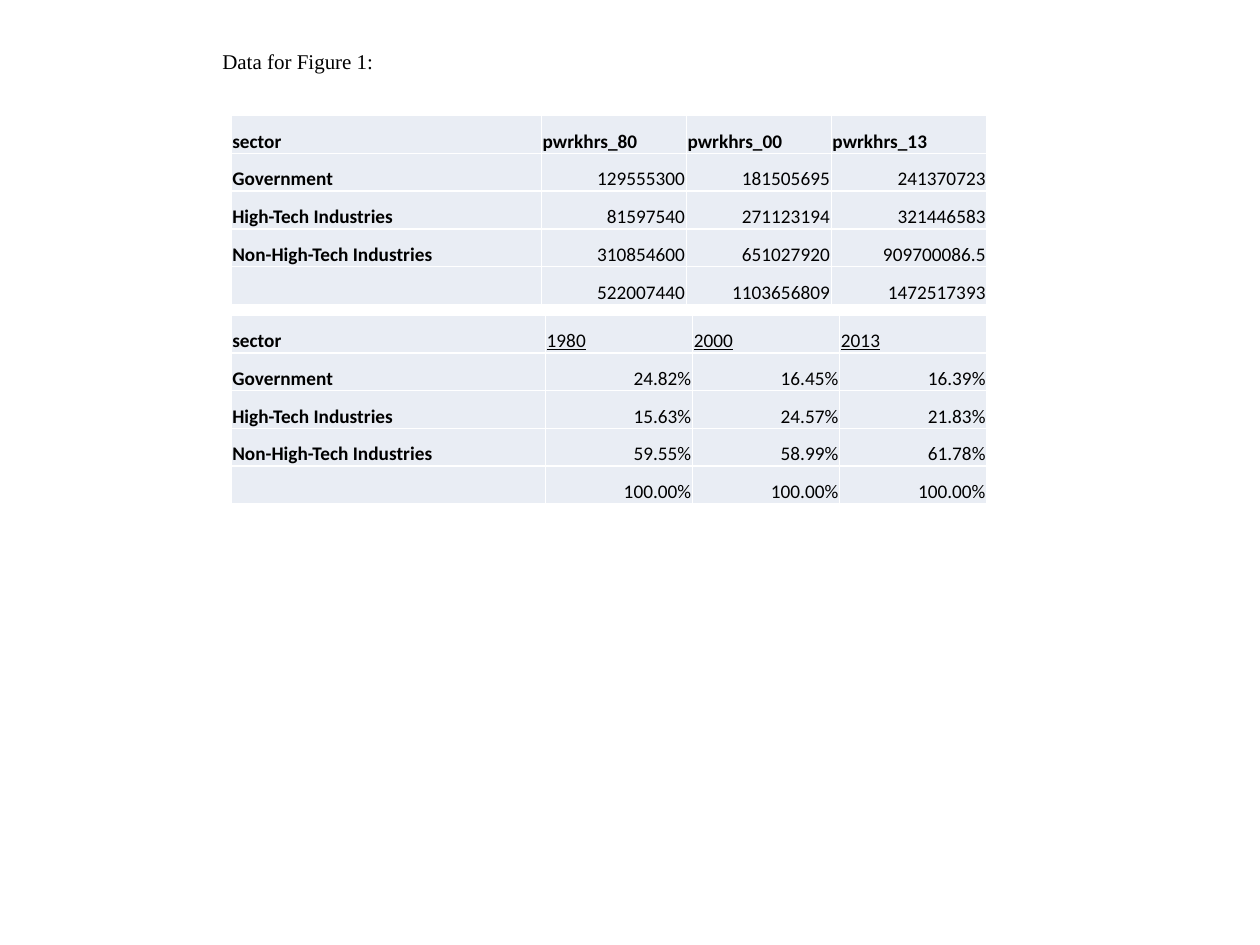
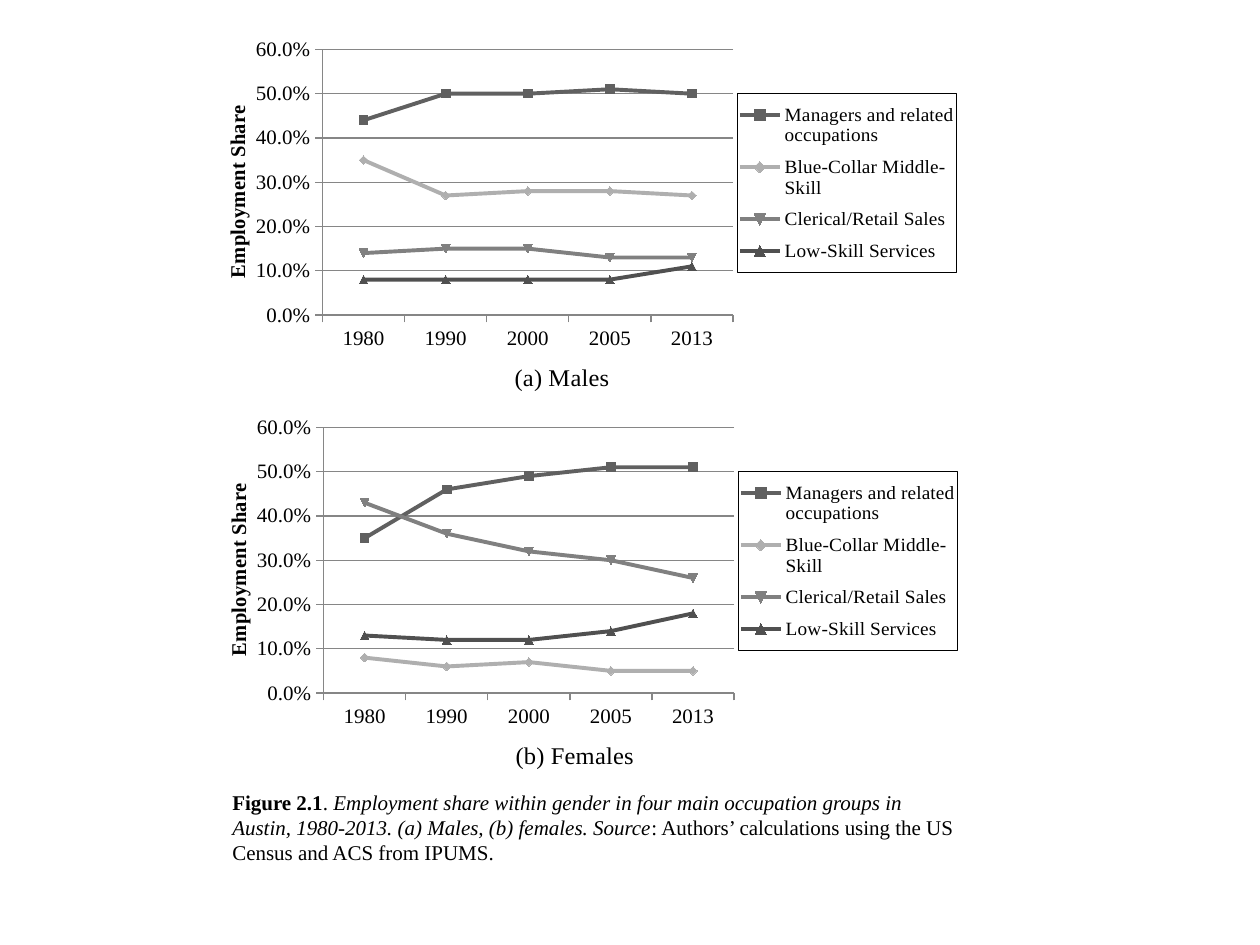
import pptx
import pptx.chart.data
import pptx.dml.color
import pptx.enum.chart
import pptx.enum.text
import pptx.oxml
import pptx.oxml.ns
import pptx.util
from dataclasses import dataclass

Pt = pptx.util.Pt
qn = pptx.oxml.ns.qn
ALIGN = pptx.enum.text.PP_ALIGN


@dataclass(frozen=True)
class Theme:
    serif: str = "Times New Roman"
    sans: str = "Calibri"
    ink: str = "000000"
    cell: str = "E9EDF4"
    border: str = "FFFFFF"
    axis: str = "868686"
    series: tuple = ("606060", "AFAFAF", "808080", "505050")
    body: int = 12
    small: int = 11
    title: int = 14


THEME = Theme()
SECTORS = ["Government", "High-Tech Industries", "Non-High-Tech Industries", ""]
HOURS = [
    ["129555300", "181505695", "241370723"],
    ["81597540", "271123194", "321446583"],
    ["310854600", "651027920", "909700086.5"],
    ["522007440", "1103656809", "1472517393"],
]
SHARES = [
    ["24.82%", "16.45%", "16.39%"],
    ["15.63%", "24.57%", "21.83%"],
    ["59.55%", "58.99%", "61.78%"],
    ["100.00%", "100.00%", "100.00%"],
]
YEARS = ["1980", "1990", "2000", "2005", "2013"]
OCCUPATIONS = ["Managers and related occupations", "Blue-Collar Middle-Skill",
               "Clerical/Retail Sales", "Low-Skill Services"]
MALES = [
    [0.44, 0.5, 0.5, 0.51, 0.5],
    [0.35, 0.27, 0.28, 0.28, 0.27],
    [0.14, 0.15, 0.15, 0.13, 0.13],
    [0.08, 0.08, 0.08, 0.08, 0.11],
]
FEMALES = [
    [0.35, 0.46, 0.49, 0.51, 0.51],
    [0.08, 0.06, 0.07, 0.05, 0.05],
    [0.43, 0.36, 0.32, 0.3, 0.26],
    [0.13, 0.12, 0.12, 0.14, 0.18],
]


def rgb(color):
    return pptx.dml.color.RGBColor.from_string(color)


def style_font(font, size, name=THEME.serif, bold=False, italic=False, underline=False):
    font.name, font.size = name, Pt(size)
    font.bold, font.italic, font.underline = bold, italic, underline
    font.color.rgb = rgb(THEME.ink)


def add_run(p, text, size=THEME.body, align=None, **fmt):
    r = p.add_run()
    r.text = text
    style_font(r.font, size, **fmt)
    if align is not None:
        p.alignment = align


def style_line(line, color, width):
    line.color.rgb = rgb(color)
    line.width = Pt(width)


def add_text_box(slide, box, runs):
    sp = slide.shapes.add_textbox(*map(Pt, box))
    tf = sp.text_frame
    tf.word_wrap = True
    tf.auto_size = pptx.enum.text.MSO_AUTO_SIZE.SHAPE_TO_FIT_TEXT
    for text, fmt in runs:
        add_run(tf.paragraphs[0], text, **fmt)


def style_cell(cell):
    cell.margin_left = cell.margin_right = cell.margin_top = Pt(0.72)
    cell.margin_bottom = 0
    cell.vertical_anchor = pptx.enum.text.MSO_ANCHOR.BOTTOM
    tc_pr = cell._tc.get_or_add_tcPr()
    for side in ("lnL", "lnR", "lnT", "lnB"):
        tc_pr.append(pptx.oxml.parse_xml(
            f'<a:{side} {pptx.oxml.ns.nsdecls("a")} w="{Pt(1)}"><a:solidFill>'
            f'<a:srgbClr val="{THEME.border}"/></a:solidFill></a:{side}>'))
    cell.fill.solid()
    cell.fill.fore_color.rgb = rgb(THEME.cell)


def fill_cell(cell, text, **fmt):
    style_cell(cell)
    p = cell.text_frame.paragraphs[0]
    if text:
        add_run(p, text, THEME.small, name=THEME.sans, **fmt)
    else:
        p._p.append(pptx.oxml.parse_xml(
            f'<a:endParaRPr {pptx.oxml.ns.nsdecls("a")} sz="{THEME.small * 100}"/>'))


def add_sector_table(slide, box, widths, heads, values, head_format):
    rows = [["sector", *heads]] + [[s, *v] for s, v in zip(SECTORS, values)]
    table = slide.shapes.add_table(len(rows), len(widths), *map(Pt, box)).table
    table.first_row = table.horz_banding = False
    for col, width in zip(table.columns, widths):
        col.width = Pt(width)
    for i, row in enumerate(rows):
        table.rows[i].height = Pt(box[3] / len(rows))
        for j, text in enumerate(row):
            if j == 0:
                fmt = {"bold": True}
            elif i == 0:
                fmt = head_format
            else:
                fmt = {"align": ALIGN.RIGHT}
            fill_cell(table.cell(i, j), text, **fmt)


def set_layout(element, index, box, size, inner=False):
    for old in element.findall(qn("c:layout")):
        element.remove(old)
    target = '<c:layoutTarget val="inner"/>' if inner else ""
    modes = "".join(f'<c:{k}Mode val="edge"/>' for k in "xy")
    places = "".join(f'<c:{k} val="{v / whole:.4f}"/>'
                     for k, v, whole in zip("xywh", box, size * 2))
    element.insert(index, pptx.oxml.parse_xml(
        f'<c:layout {pptx.oxml.ns.nsdecls("c")}><c:manualLayout>'
        f'{target}{modes}{places}</c:manualLayout></c:layout>'))


def style_axes(chart):
    axis = chart.value_axis
    axis.minimum_scale, axis.maximum_scale, axis.major_unit = 0, 0.6, 0.1
    axis.has_major_gridlines = True
    style_line(axis.major_gridlines.format.line, THEME.axis, 0.75)
    axis.tick_labels.number_format = "0.0%"
    axis.tick_labels.number_format_is_linked = False
    add_run(axis.axis_title.text_frame.paragraphs[0], "Employment Share", bold=True)
    for ax in (axis, chart.category_axis):
        ax.major_tick_mark = pptx.enum.chart.XL_TICK_MARK.OUTSIDE
        style_line(ax.format.line, THEME.axis, 0.75)
        style_font(ax.tick_labels.font, THEME.body)


def add_share_chart(slide, box, title, values):
    data = pptx.chart.data.CategoryChartData(number_format="0.0%")
    data.categories = YEARS
    for name, vals in zip(OCCUPATIONS, values):
        data.add_series(name, vals)
    chart = slide.shapes.add_chart(
        pptx.enum.chart.XL_CHART_TYPE.LINE_MARKERS, *map(Pt, box), data).chart
    style_font(chart.font, THEME.body)
    style_axes(chart)
    chart.plots[0].vary_by_categories = False
    for ser, color in zip(chart.plots[0].series, THEME.series):
        ser.smooth = False
        style_line(ser.format.line, color, 2.25)
        ser.marker.size = 5
        ser.marker.format.fill.solid()
        ser.marker.format.fill.fore_color.rgb = rgb(color)
        style_line(ser.marker.format.line, color, 0.75)

    chart.has_title = True
    add_run(chart.chart_title.text_frame.paragraphs[0], title, THEME.title)
    chart.has_legend = True
    chart.legend.position = pptx.enum.chart.XL_LEGEND_POSITION.RIGHT
    chart.legend.include_in_layout = False
    style_font(chart.legend.font, THEME.small)
    root = chart.chart_title.element.getparent()
    legend = root.find(qn("c:legend"))
    legend.find(qn("c:txPr")).addprevious(pptx.oxml.parse_xml(
        f'<c:spPr {pptx.oxml.ns.nsdecls("c", "a")}><a:ln w="{Pt(0.75)}"><a:solidFill>'
        f'<a:srgbClr val="{THEME.ink}"/></a:solidFill></a:ln></c:spPr>'))
    size = box[2:]
    set_layout(chart.chart_title.element, 1, (165.6, 197.1), size)
    set_layout(legend, 1, (295.4, 42.6, 125.3, 104.7), size)
    set_layout(root.find(qn("c:plotArea")), 0, (58.3, 16.7, 234.6, 155.5), size, inner=True)


def build_data_slide(slide, box):
    left, top, width, height = box
    add_text_box(slide, (left - 12, top - 42, 114, 21.6), [("Data for Figure 1:", {})])
    add_sector_table(slide, (left, top, width, height), (177.4, 82.8, 82.8, 89),
                     ["pwrkhrs_80", "pwrkhrs_00", "pwrkhrs_13"], HOURS, {"bold": True})
    add_sector_table(slide, (left, top + 114, width, height), (179.7, 84.1, 84.1, 84.1),
                     ["1980", "2000", "2013"], SHARES, {"underline": True})


def build_chart_slide(slide, box):
    left, top, width, height = box
    for i, (title, values) in enumerate([("(a) Males", MALES), ("(b) Females", FEMALES)]):
        add_share_chart(slide, (left + 0.6 * i, top + height * i, width, height),
                        title, values)
    add_text_box(slide, (left - 0.3, top + 2 * height + 3.5, width, 51), [
        ("Figure 2.1", {"bold": True}),
        (". ", {}),
        ("Employment share within gender in four main occupation groups in Austin, "
         "1980-2013. (a) Males, (b) females. Source", {"italic": True}),
        (": Authors\u2019 calculations using the US Census and ACS from IPUMS.", {}),
    ])


prs = pptx.Presentation()
prs.slide_width, prs.slide_height = Pt(720), Pt(540)
blank = prs.slide_layouts[6]
build_data_slide(prs.slides.add_slide(blank), (132, 66, 432, 108))
build_chart_slide(prs.slides.add_slide(blank), (126, 12, 432, 216))
prs.save("out.pptx")
